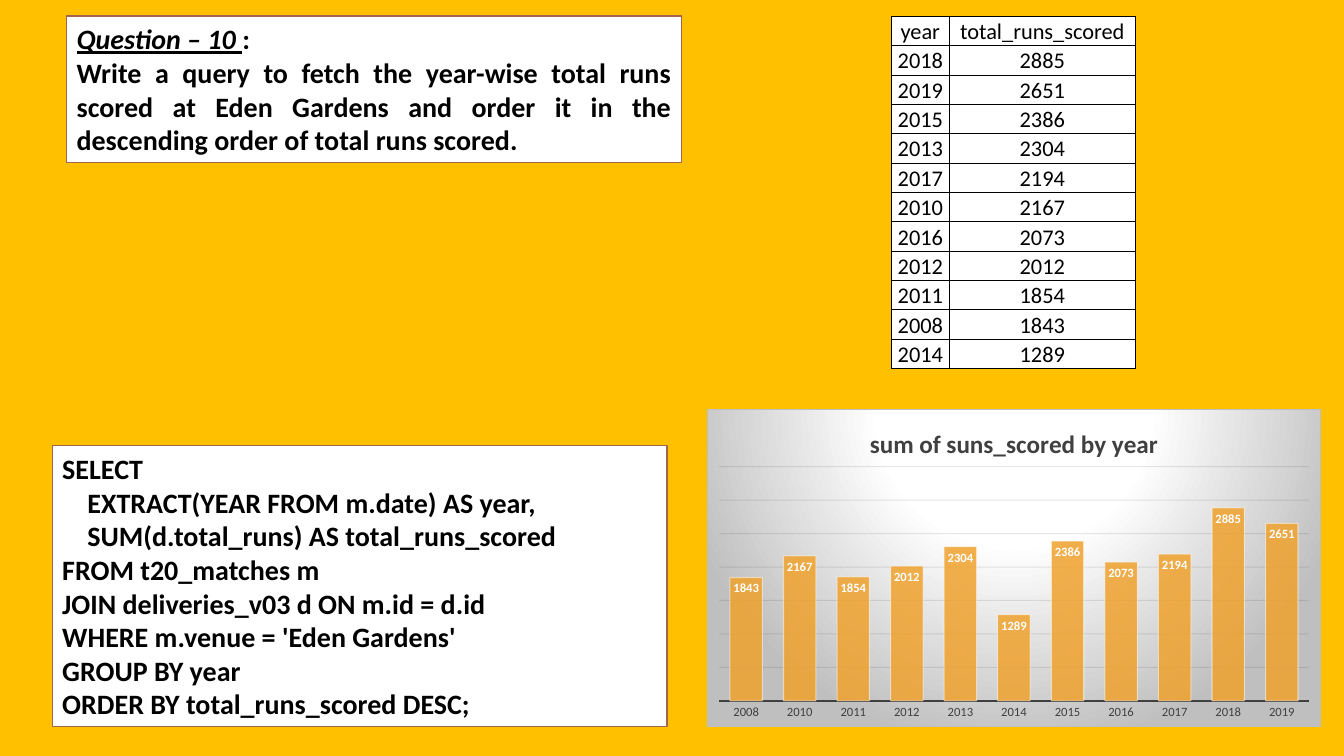
"""Build the question slide with its query, result table and column chart."""
from dataclasses import dataclass

from pptx import Presentation
from pptx import oxml
from pptx import util as u
from pptx.chart import data as chart_data
from pptx.dml.color import RGBColor
from pptx.enum import chart as charts, shapes, text
from pptx.oxml import ns

QUESTION = [
    (0, [("Question – 10 ", {"italic": True, "underline": True}), (":", {})]),
    (0, [("Write a query to fetch the year-wise total runs scored at Eden Gardens "
          "and order it in the descending order of total runs scored.", {})]),
]
QUERY = [
    (0, "SELECT"),
    (1, "EXTRACT(YEAR FROM m.date) AS year,"),
    (1, "SUM(d.total_runs) AS total_runs_scored"),
    (0, "FROM t20_matches m"),
    (0, "JOIN deliveries_v03 d ON m.id = d.id"),
    (0, "WHERE m.venue = 'Eden Gardens'"),
    (0, "GROUP BY year"),
    (0, "ORDER BY total_runs_scored DESC;"),
]
HEADERS = ("year", "total_runs_scored")
RUNS = [(2018, 2885), (2019, 2651), (2015, 2386), (2013, 2304), (2017, 2194), (2010, 2167),
        (2016, 2073), (2012, 2012), (2011, 1854), (2008, 1843), (2014, 1289)]
CHART_TITLE = "sum of suns_scored by year"

QUESTION_BOX = (47.5, 11.5, 439.2, 104.4)
QUERY_BOX = (37.4, 318.2, 439.2, 200.9)
CHART_BOX = (504.7, 292.3, 439.2, 226.8)
TABLE_ORIGIN = (636.5, 11.5)
COLUMN_WIDTHS = (41.8, 132.5)
ROW_HEIGHT = 21
INDENT = 18
PLOT_AREA = {"x": 0.02, "y": 0.18, "w": 0.96, "h": 0.74}


@dataclass(frozen=True)
class Theme:
    """Colours, font and type sizes of the slide."""
    font: str = "Calibri"
    background: str = "FFC000"
    paper: str = "FFFFFF"
    ink: str = "000000"
    outline: str = "A5644E"
    column: str = "F0A22E"
    grey: str = "404040"
    edge: str = "BFBFBF"
    grid: str = "0D0D0D"
    body: int = 20
    cell: int = 16
    chart_title: int = 18
    chart: int = 10
    label: int = 9


THEME = Theme()


def points(values):
    """Convert numbers to point lengths."""
    return [u.Pt(value) for value in values]


def apply(target, values):
    """Set every attribute named in a dict."""
    for name, value in values.items():
        setattr(target, name, value)


def style_font(font, size, color, **values):
    """Set face, size, colour and any further font values."""
    apply(font, {"name": THEME.font, "size": u.Pt(size), **values})
    font.color.rgb = RGBColor.from_string(color)


def paint(fill, color):
    """Give a fill one solid colour."""
    fill.solid()
    fill.fore_color.rgb = RGBColor.from_string(color)


def draw_line(line, color, width):
    """Give a line its colour and width."""
    paint(line.fill, color)
    line.width = u.Pt(width)


def add_alpha(parent, percent):
    """Make the colours below an element partly transparent."""
    for color in parent.iter(ns.qn("a:srgbClr")):
        color.append(oxml.parse_xml(f'<a:alpha {ns.nsdecls("a")} val="{percent * 1000}"/>'))


def fill_box(shape, box, paragraphs):
    """Place a white outlined box and write its bold paragraphs."""
    apply(shape, dict(zip(("left", "top", "width", "height"), points(box))))
    paint(shape.fill, THEME.paper)
    draw_line(shape.line, THEME.outline, 1)
    frame = shape.text_frame
    apply(frame, {"word_wrap": True, "auto_size": text.MSO_AUTO_SIZE.SHAPE_TO_FIT_TEXT,
                  "vertical_anchor": text.MSO_ANCHOR.MIDDLE})
    for index, (level, pieces) in enumerate(paragraphs):
        paragraph = frame.add_paragraph() if index else frame.paragraphs[0]
        paragraph.alignment = text.PP_ALIGN.JUSTIFY
        if level:
            paragraph._p.get_or_add_pPr().set("marL", str(u.Pt(level * INDENT)))
        for words, values in pieces:
            run = paragraph.add_run()
            run.text = words
            style_font(run.font, THEME.body, THEME.ink, bold=True, **values)


def fill_cell(cell, value):
    """Write one bordered, centred table cell."""
    apply(cell, {"text": str(value), "vertical_anchor": text.MSO_ANCHOR.BOTTOM,
                 "margin_left": u.Pt(0.7), "margin_right": u.Pt(0.7),
                 "margin_top": u.Pt(0.7), "margin_bottom": 0})
    paragraph = cell.text_frame.paragraphs[0]
    paragraph.alignment = text.PP_ALIGN.CENTER
    style_font(paragraph.runs[0].font, THEME.cell, THEME.ink, bold=False)
    properties = cell._tc.get_or_add_tcPr()
    for side in "LRTB":
        properties.append(oxml.parse_xml(
            f'<a:ln{side} {ns.nsdecls("a")} w="{u.Pt(0.5)}"><a:solidFill>'
            f'<a:srgbClr val="{THEME.ink}"/></a:solidFill></a:ln{side}>'))
    paint(cell.fill, THEME.paper)


def add_result_table(slide):
    """Add the query result in descending order of runs."""
    rows = [HEADERS, *RUNS]
    size = (sum(COLUMN_WIDTHS), ROW_HEIGHT * len(rows))
    table = slide.shapes.add_table(len(rows), len(HEADERS), *points(TABLE_ORIGIN + size)).table
    apply(table, {"first_row": False, "horz_banding": False})
    for column, width in zip(table.columns, COLUMN_WIDTHS):
        column.width = u.Pt(width)
    for row, values in zip(table.rows, rows):
        row.height = u.Pt(ROW_HEIGHT)
        for cell, value in zip(row.cells, values):
            fill_cell(cell, value)


def style_chart_frame(chart):
    """Give the chart its radial background, border and plot position."""
    stops = "".join(f'<a:gs pos="{place * 1000}"><a:srgbClr val="{color}"/></a:gs>'
                    for place, color in ((0, THEME.paper), (39, THEME.paper), (100, THEME.edge)))
    chart._chartSpace.find(ns.qn("c:chart")).addnext(oxml.parse_xml(
        f'<c:spPr {ns.nsdecls("c", "a")}><a:gradFill><a:gsLst>{stops}</a:gsLst>'
        '<a:path path="circle"><a:fillToRect l="50000" t="-80000" r="50000" b="180000"/></a:path>'
        f'</a:gradFill><a:ln w="{u.Pt(0.75)}"><a:solidFill><a:srgbClr val="{THEME.edge}"/>'
        '</a:solidFill></a:ln></c:spPr>'))
    plot_area = next(chart._chartSpace.iter(ns.qn("c:plotArea")))
    for layout in plot_area.findall(ns.qn("c:layout")):
        plot_area.remove(layout)
    sizes = "".join(f'<c:{name} val="{value}"/>' for name, value in PLOT_AREA.items())
    plot_area.insert(0, oxml.parse_xml(
        f'<c:layout {ns.nsdecls("c")}><c:manualLayout><c:layoutTarget val="inner"/>'
        f'<c:xMode val="edge"/><c:yMode val="edge"/>{sizes}</c:manualLayout></c:layout>'))


def add_runs_chart(slide):
    """Add the column chart of runs in order of year."""
    years, totals = zip(*sorted(RUNS))
    data = chart_data.CategoryChartData()
    data.categories = [str(year) for year in years]
    data.add_series("Series 1", totals)
    chart = slide.shapes.add_chart(
        charts.XL_CHART_TYPE.COLUMN_CLUSTERED, *points(CHART_BOX), data).chart
    style_font(chart.font, THEME.chart, THEME.ink)
    chart.has_legend = False
    title = chart.chart_title.text_frame
    title.text = CHART_TITLE
    style_font(title.paragraphs[0].runs[0].font, THEME.chart_title, THEME.grey, bold=True)
    chart.chart_title.include_in_layout = False

    category_axis, value_axis = chart.category_axis, chart.value_axis
    category_axis.major_tick_mark = charts.XL_TICK_MARK.NONE
    style_font(category_axis.tick_labels.font, THEME.label, THEME.grey)
    draw_line(category_axis.format.line, THEME.grey, 1.5)
    apply(value_axis, {"visible": False, "minimum_scale": 0, "maximum_scale": 3500,
                       "major_unit": 500, "has_major_gridlines": True})
    draw_line(value_axis.major_gridlines.format.line, THEME.grid, 0.75)
    add_alpha(value_axis._element.find(ns.qn("c:majorGridlines")), 10)

    plot = chart.plots[0]
    apply(plot, {"gap_width": 65, "vary_by_categories": False})
    series = plot.series[0]
    paint(series.format.fill, THEME.column)
    draw_line(series.format.line, THEME.paper, 0.75)
    look = series._element.find(ns.qn("c:spPr"))
    add_alpha(look.find(ns.qn("a:solidFill")), 85)
    add_alpha(look.find(ns.qn("a:ln")), 50)
    labels = series.data_labels
    apply(labels, {"show_value": True, "position": charts.XL_LABEL_POSITION.INSIDE_END})
    style_font(labels.font, THEME.label, THEME.paper, bold=True)
    style_chart_frame(chart)


def main():
    """Build and save the presentation."""
    presentation = Presentation()
    apply(presentation, {"slide_width": u.Pt(960), "slide_height": u.Pt(540)})
    slide = presentation.slides.add_slide(presentation.slide_layouts[5])
    paint(slide.background.fill, THEME.background)
    fill_box(slide.shapes.title, QUESTION_BOX, QUESTION)
    query = slide.shapes.add_shape(shapes.MSO_SHAPE.RECTANGLE, *points(QUERY_BOX))
    query.shadow.inherit = False
    fill_box(query, QUERY_BOX, [(level, [(line, {})]) for level, line in QUERY])
    add_result_table(slide)
    add_runs_chart(slide)
    presentation.save("out.pptx")


if __name__ == "__main__":
    main()
